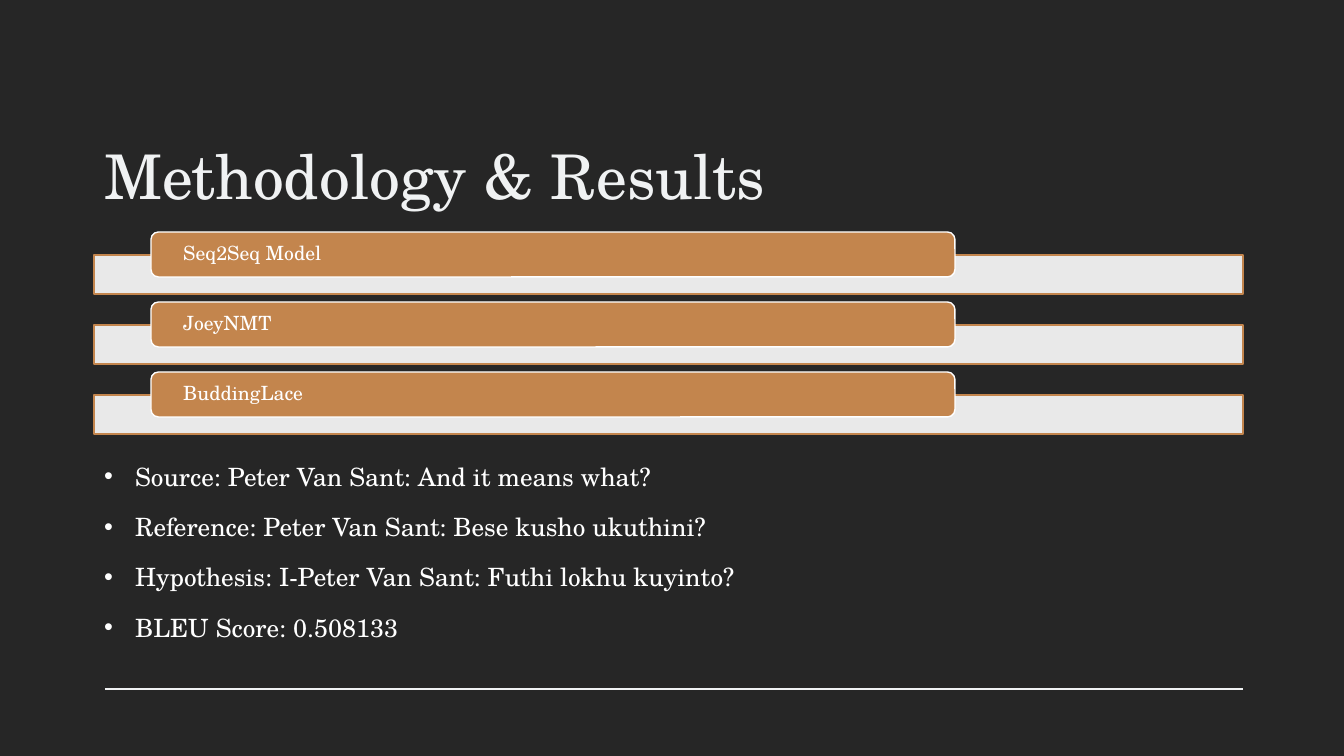
from lxml import etree
from pptx import Presentation
from pptx import util as u
from pptx.dml.color import RGBColor
from pptx.enum import shapes, text
from pptx.oxml.ns import qn

SCALE = 12192000 / 1344  # EMU per px
FONT = "TeX Gyre Schola"
BACKGROUND = RGBColor(0x26, 0x26, 0x26)
OFF_WHITE = RGBColor(0xF0, 0xF2, 0xF3)
WHITE = RGBColor(0xFF, 0xFF, 0xFF)
COPPER = RGBColor(0xC3, 0x85, 0x4D)

LEFT = 94
WIDTH = 1149
METHODS_TOP = 232
METHOD_PITCH = 70
METHODS = ["Seq2Seq Model", "JoeyNMT", "BuddingLace"]
RESULTS = [
    "Source: Peter Van Sant: And it means what?",
    "Reference: Peter Van Sant: Bese kusho ukuthini?",
    "Hypothesis: I-Peter Van Sant: Futhi lokhu kuyinto?",
    "BLEU Score: 0.508133",
]


def px(length):
    return u.Emu(round(length * SCALE))


def place(shape, left, top, width, height):
    shape.left, shape.top = px(left), px(top)
    shape.width, shape.height = px(width), px(height)


def format_runs(paragraph, size, color):
    paragraph.alignment = text.PP_ALIGN.LEFT
    for run in paragraph.runs:
        run.font.name = FONT
        run.font.size = u.Pt(size)
        run.font.color.rgb = color


def fill_title(title, wording):
    place(title, LEFT, 97, WIDTH, 120)
    frame = title.text_frame
    frame.text = wording
    frame.auto_size = text.MSO_AUTO_SIZE.NONE
    frame.vertical_anchor = text.MSO_ANCHOR.BOTTOM
    format_runs(frame.paragraphs[0], 44, OFF_WHITE)


def fill_results(body, results):
    place(body, LEFT, 450, 1158, 197)
    frame = body.text_frame
    frame.text = "\n".join(results)
    frame.auto_size = text.MSO_AUTO_SIZE.NONE
    for paragraph in frame.paragraphs:
        paragraph.line_spacing = 1.2
        paragraph.space_before = u.Pt(10)
        properties = paragraph._p.get_or_add_pPr()
        properties.set("marL", str(px(31)))
        properties.set("indent", str(-px(31)))
        bullet_font = etree.SubElement(properties, qn("a:buFont"))
        bullet_font.set("typeface", "Arial")
        etree.SubElement(properties, qn("a:buChar")).set("char", "•")
        format_runs(paragraph, 18, WHITE)


def add_box(slide, kind, bounds, fill, line):
    box = slide.shapes.add_shape(kind, *map(px, bounds))
    box.shadow.inherit = False
    box.fill.solid()
    box.fill.fore_color.rgb = fill
    box.line.color.rgb = line
    box.line.width = u.Pt(1)
    return box


def add_method(slide, top, name):
    """Add a rounded label over a wide, slightly transparent bar."""
    bar = add_box(slide, shapes.MSO_SHAPE.RECTANGLE,
                  (LEFT, top + 23, WIDTH, 39), WHITE, COPPER)
    color = bar._element.spPr.find(qn("a:solidFill"))[0]
    etree.SubElement(color, qn("a:alpha")).set("val", "90000")

    label = add_box(slide, shapes.MSO_SHAPE.ROUNDED_RECTANGLE,
                    (151, top, 804, 45), COPPER, WHITE)
    frame = label.text_frame
    frame.text = name
    frame.word_wrap = True
    frame.vertical_anchor = text.MSO_ANCHOR.MIDDLE
    frame.margin_left = frame.margin_right = px(30)
    frame.margin_top = frame.margin_bottom = 0
    frame.paragraphs[0].line_spacing = 0.9
    format_runs(frame.paragraphs[0], 14, WHITE)


def add_rule(slide, left, right, y):
    rule = slide.shapes.add_connector(
        shapes.MSO_CONNECTOR.STRAIGHT, px(left), px(y), px(right), px(y))
    rule.line.color.rgb = OFF_WHITE
    rule.line.width = u.Pt(0.85)
    etree.SubElement(rule._element.spPr, qn("a:effectLst"))


def main():
    presentation = Presentation()
    presentation.slide_width, presentation.slide_height = px(1344), px(756)
    slide = presentation.slides.add_slide(presentation.slide_layouts[1])
    slide.background.fill.solid()
    slide.background.fill.fore_color.rgb = BACKGROUND

    add_rule(slide, 105, 1243, 689)
    fill_title(slide.shapes.title, "Methodology & Results")
    for index, name in enumerate(METHODS):
        add_method(slide, METHODS_TOP + index * METHOD_PITCH, name)
    fill_results(slide.placeholders[1], RESULTS)
    presentation.save("out.pptx")


if __name__ == "__main__":
    main()
